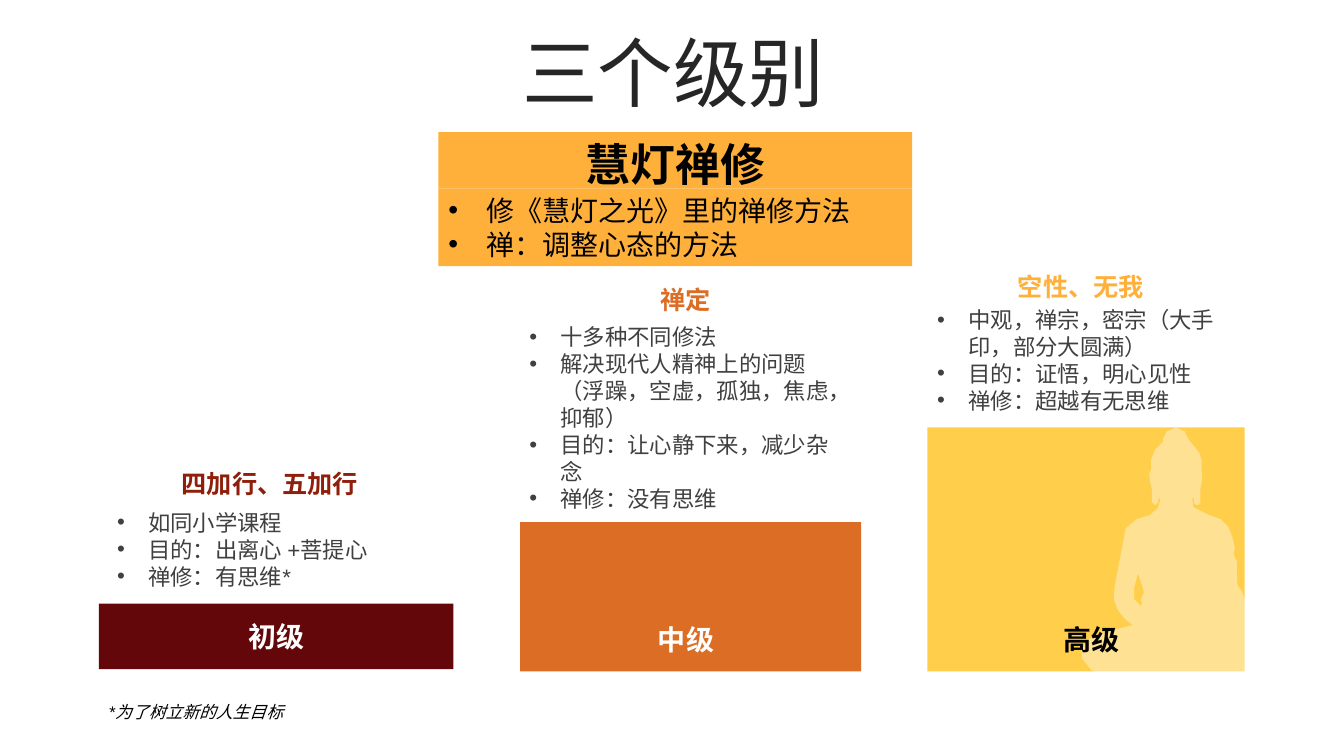
from dataclasses import dataclass

import pptx
import pptx.dml.color
import pptx.enum.shapes
import pptx.enum.text
import pptx.oxml
import pptx.oxml.ns
import pptx.util

Cm = pptx.util.Cm
Pt = pptx.util.Pt
CENTER = pptx.enum.text.PP_ALIGN.CENTER
LEFT = pptx.enum.text.PP_ALIGN.LEFT
MIDDLE = pptx.enum.text.MSO_ANCHOR.MIDDLE
TOP = pptx.enum.text.MSO_ANCHOR.TOP


@dataclass
class Box:
    """Position and size in centimetres."""
    left: float
    top: float
    width: float
    height: float

    def lengths(self) -> list:
        return [Cm(value) for value in (self.left, self.top, self.width, self.height)]


@dataclass
class Style:
    size: int
    color: str
    bold: bool = False
    italic: bool = False
    align: int = CENTER
    anchor: int = TOP
    indent: float = 0  # hanging indent of bulleted text, in centimetres
    left_inset: float = 0
    grow: bool = True
    line_spacing: float = 1.0


@dataclass
class Level:
    name: str
    name_color: str
    name_box: Box
    block_color: str
    block: Box
    heading: str
    heading_color: str
    heading_box: Box
    points: list
    points_box: Box


LEVELS = [
    Level("初级", "FFFFFF", Box(5, 15.47, 4.19, 1.12),
          "63070A", Box(2.49, 15.21, 8.94, 1.65),
          "四加行、五加行", "8E1F0B", Box(2.77, 11.68, 8.31, 1.02),
          ["如同小学课程", "目的：出离心 +菩提心", "禅修：有思维*"],
          Box(2.95, 12.7, 8.13, 2.31)),
    Level("中级", "FFFFFF", Box(15.32, 15.54, 4.19, 1.12),
          "DB6D25", Box(13.11, 13.16, 8.59, 3.76),
          "禅定", "DB6D25", Box(13.34, 7.04, 8.13, 1.02),
          ["十多种不同修法", "解决现代人精神上的问题（浮躁，空虚，孤独，焦虑，抑郁）",
           "目的：让心静下来，减少杂念", "禅修：没有思维"],
          Box(13.34, 8.03, 8.13, 5.05)),
    Level("高级", "000000", Box(25.55, 15.54, 4.19, 1.12),
          "FFCE4B", Box(23.37, 10.77, 8, 6.15),
          "空性、无我", "FFB03B", Box(23.62, 6.71, 7.49, 1.02),
          ["中观，禅宗，密宗（大手印，部分大圆满）", "目的：证悟，明心见性", "禅修：超越有无思维"],
          Box(23.62, 7.59, 7.49, 3)),
]

# Seated figure and the gap beside its arm, in hundredths of a centimetre
FIGURE = [
    (2964, 1077), (2985, 1087), (2997, 1110), (3010, 1125), (3023, 1143), (3028, 1161),
    (3028, 1186), (3030, 1204), (3025, 1232), (3025, 1265), (3020, 1273), (3010, 1270),
    (3007, 1252), (3005, 1257), (3007, 1278), (3048, 1298), (3076, 1308), (3096, 1328),
    (3106, 1354), (3112, 1382), (3109, 1397), (3117, 1415), (3117, 1445), (3119, 1476),
    (3129, 1488), (3137, 1511), (3137, 1547), (3142, 1590), (3147, 1605), (3172, 1621),
    (3185, 1646), (3170, 1679), (3127, 1699), (3099, 1707), (3051, 1704), (3028, 1697),
    (3033, 1704), (3053, 1717), (3051, 1725), (3018, 1732), (2995, 1727), (2967, 1732),
    (2926, 1727), (2898, 1730), (2883, 1725), (2880, 1720), (2903, 1694), (2878, 1702),
    (2830, 1712), (2784, 1704), (2751, 1689), (2728, 1661), (2725, 1638), (2741, 1613),
    (2764, 1600), (2804, 1588), (2855, 1575), (2837, 1562), (2817, 1537), (2807, 1511),
    (2809, 1478), (2837, 1331), (2865, 1308), (2898, 1298), (2918, 1280), (2924, 1260),
    (2921, 1252), (2918, 1267), (2911, 1273), (2903, 1265), (2903, 1232), (2898, 1212),
    (2896, 1194), (2901, 1184), (2901, 1158), (2911, 1133), (2931, 1113), (2931, 1105),
    (2941, 1087),
]
ARM_GAP = [
    (2868, 1445), (2858, 1481), (2858, 1509), (2875, 1527), (2878, 1521),
    (2875, 1509), (2883, 1494), (2880, 1481),
]


def rgb(color: str) -> pptx.dml.color.RGBColor:
    return pptx.dml.color.RGBColor.from_string(color)


def paint(shape, color: str) -> None:
    shape.shadow.inherit = False
    shape.fill.solid()
    shape.fill.fore_color.rgb = rgb(color)
    shape.line.fill.background()


def add_block(slide, box: Box, color: str):
    shape = slide.shapes.add_shape(pptx.enum.shapes.MSO_SHAPE.RECTANGLE, *box.lengths())
    paint(shape, color)
    return shape


def add_bullet(paragraph, indent: float) -> None:
    properties = paragraph._p.get_or_add_pPr()
    properties.set("marL", str(Cm(indent)))
    properties.set("indent", str(-Cm(indent)))
    for tag, name, value in (("buFont", "typeface", "Arial"), ("buChar", "char", "•")):
        element = pptx.oxml.ns.qn("a:" + tag)
        properties.append(properties.makeelement(element, {name: value}))


def write(shape, lines: list, style: Style) -> None:
    frame = shape.text_frame
    frame.word_wrap = True
    auto_size = pptx.enum.text.MSO_AUTO_SIZE
    frame.auto_size = auto_size.SHAPE_TO_FIT_TEXT if style.grow else auto_size.NONE
    frame.vertical_anchor = style.anchor
    frame.margin_left = Cm(style.left_inset)
    for index, line in enumerate(lines):
        paragraph = frame.add_paragraph() if index else frame.paragraphs[0]
        paragraph.alignment = style.align
        paragraph.line_spacing = style.line_spacing
        if style.indent:
            add_bullet(paragraph, style.indent)
        run = paragraph.add_run()
        run.text = line
        run.font.name = "Arial"
        run.font.size = Pt(style.size)
        run.font.bold = style.bold
        run.font.italic = style.italic
        run.font.color.rgb = rgb(style.color)


def add_text(slide, box: Box, lines: list, style: Style) -> None:
    write(slide.shapes.add_textbox(*box.lengths()), lines, style)


def add_figure(slide) -> None:
    builder = slide.shapes.build_freeform(*FIGURE[0], scale=Cm(0.01))
    builder.add_line_segments(FIGURE[1:])
    builder.move_to(*ARM_GAP[0])
    builder.add_line_segments(ARM_GAP[1:])
    shape = builder.convert_to_shape()
    paint(shape, "FFFFFF")
    color = shape._element.spPr.find(".//" + pptx.oxml.ns.qn("a:srgbClr"))
    color.append(color.makeelement(pptx.oxml.ns.qn("a:alpha"), {"val": "40000"}))


def main() -> None:
    presentation = pptx.Presentation()
    presentation.slide_width = Cm(33.87)
    presentation.slide_height = Cm(19.05)
    slide = presentation.slides.add_slide(presentation.slide_layouts[6])

    # Blocks rising like steps, with the figure on the highest
    for level in LEVELS:
        add_block(slide, level.block, level.block_color)
    add_figure(slide)

    # Title
    add_text(slide, Box(0.89, 0.94, 32.16, 2.01), ["三个级别"],
             Style(54, "262626", anchor=MIDDLE, left_inset=0.25, grow=False, line_spacing=0.9))

    # Texts of each level
    for level in LEVELS:
        add_text(slide, level.heading_box, [level.heading],
                 Style(18, level.heading_color, bold=True))
        add_text(slide, level.points_box, level.points,
                 Style(16, "404040", align=LEFT, indent=0.79))
        add_text(slide, level.name_box, [level.name],
                 Style(20, level.name_color, bold=True, anchor=MIDDLE))

    # Banner
    write(add_block(slide, Box(11.05, 3.33, 11.94, 1.42), "FFB03B"), ["慧灯禅修"],
          Style(32, "000000", bold=True, left_inset=0.25))
    write(add_block(slide, Box(11.05, 4.75, 11.94, 1.96), "FFB03B"),
          ["修《慧灯之光》里的禅修方法", "禅：调整心态的方法"],
          Style(20, "000000", align=LEFT, indent=0.95, left_inset=0.25))

    # Footnote
    add_text(slide, Box(2.49, 17.55, 8.86, 0.76), ["*为了树立新的人生目标"],
             Style(12, "000000", italic=True, align=LEFT, left_inset=0.25))

    presentation.save("out.pptx")


if __name__ == "__main__":
    main()
